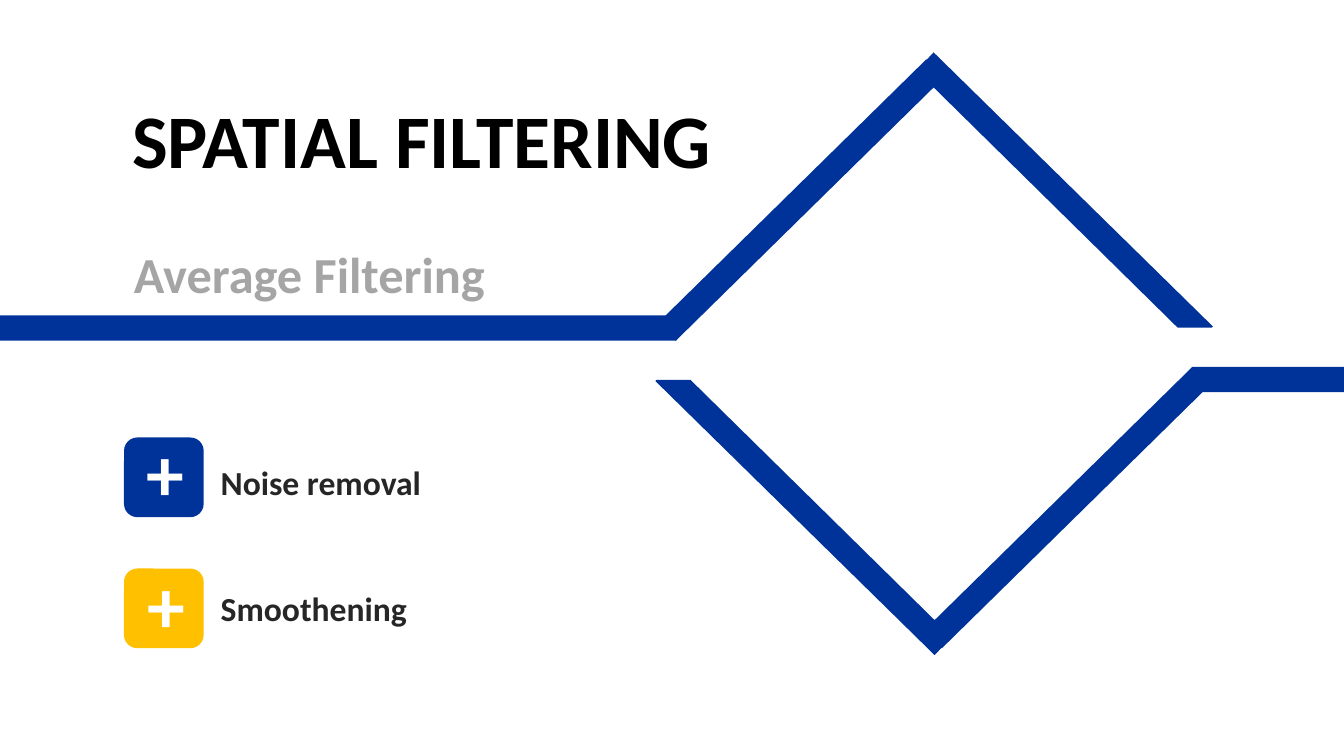
"""Builds the spatial filtering slide with its split diamond and two benefits."""
from dataclasses import dataclass

from pptx import Presentation
from pptx.dml.color import RGBColor as RGB
from pptx.enum.shapes import MSO_SHAPE as SHAPE
from pptx.enum.text import MSO_ANCHOR as ANCHOR, MSO_AUTO_SIZE as FIT, PP_ALIGN as ALIGN
from pptx.util import Inches, Pt


@dataclass(frozen=True)
class Theme:
    font: str = "Calibri"
    blue: str = "003399"
    amber: str = "FFC000"
    black: str = "000000"
    dark: str = "262626"
    grey: str = "A5A5A5"
    white: str = "FFFFFF"
    display: int = 54
    subtitle: int = 36
    body: int = 24


def paint(sp, color):
    sp.shadow.inherit = False
    sp.fill.solid()
    sp.fill.fore_color.rgb = RGB.from_string(color)
    sp.line.fill.background()


def write(sp, text, size, color, wrap=True, anchor=ANCHOR.MIDDLE):
    tf = sp.text_frame
    for name, value in {"auto_size": FIT.NONE, "word_wrap": wrap, "vertical_anchor": anchor}.items():
        setattr(tf, name, value)
    p = tf.paragraphs[0]
    p.alignment = ALIGN.LEFT
    r = p.add_run()
    r.text = text
    for name, value in {"name": theme.font, "size": Pt(size), "bold": True}.items():
        setattr(r.font, name, value)
    r.font.color.rgb = RGB.from_string(color)
    return p


theme = Theme()
prs = Presentation()
prs.slide_width, prs.slide_height = Inches(13.33), Inches(7.5)
s = prs.slides.add_slide(prs.slide_layouts[5])

title = s.shapes.title
box = {"left": 1.21, "top": 0.87, "width": 7.36, "height": 1.01}
for name, value in box.items():
    setattr(title, name, Inches(value))
write(title, "SPATIAL FILTERING", theme.display, theme.black)

BAND = 0.25
SPAN_X, SPAN_Y = 18.53, 7.02
ARM = [(9.26, 0.52), (12.03, 3.24), (12.02, 3.25), (11.68, 3.25), (9.09, 0.7)]
halves = [(False, (0, 3.13, 6.71, BAND)), (True, (11.83, 3.64, 1.5, BAND))]
for turned, rail in halves:
    x, y, length = 7.82, 0.12, 3.73
    arm = ARM
    if turned:
        x, y = SPAN_X - x - BAND, SPAN_Y - y - length
        arm = [(SPAN_X - ax, SPAN_Y - ay) for ax, ay in ARM]
    for bar, angle in ((rail, 0), ((x, y, BAND, length), 45.5)):
        sp = s.shapes.add_shape(SHAPE.RECTANGLE, *map(Inches, bar))
        sp.rotation = angle
        paint(sp, theme.blue)
    points = [(Inches(ax), Inches(ay)) for ax, ay in arm]
    outline = s.shapes.build_freeform(*points[0])
    outline.add_line_segments(points[1:])
    paint(outline.convert_to_shape(), theme.blue)

subtitle = s.shapes.add_textbox(*map(Inches, (1.23, 2.48, 5.58, 0.47)))
p = write(subtitle, "Average Filtering", theme.subtitle, theme.grey)
p.space_before = Pt(theme.subtitle * 0.2)

benefits = [
    ("Noise removal", theme.blue, 4.34, (1.35, 4.18), 4.53),
    ("Smoothening", theme.amber, 5.64, (1.36, 5.49), 5.78),
]
for label, color, tile_top, plus_at, label_top in benefits:
    tile = s.shapes.add_shape(SHAPE.ROUNDED_RECTANGLE, *map(Inches, (1.23, tile_top, 0.79, 0.79)))
    paint(tile, color)
    plus = s.shapes.add_textbox(*map(Inches, (*plus_at, 0.58, 1.01)))
    write(plus, "+", theme.display, theme.white, wrap=False, anchor=ANCHOR.TOP)
    caption = s.shapes.add_textbox(*map(Inches, (2.09, label_top, 4.85, 0.5)))
    write(caption, label, theme.body, theme.dark)

prs.save("out.pptx")
